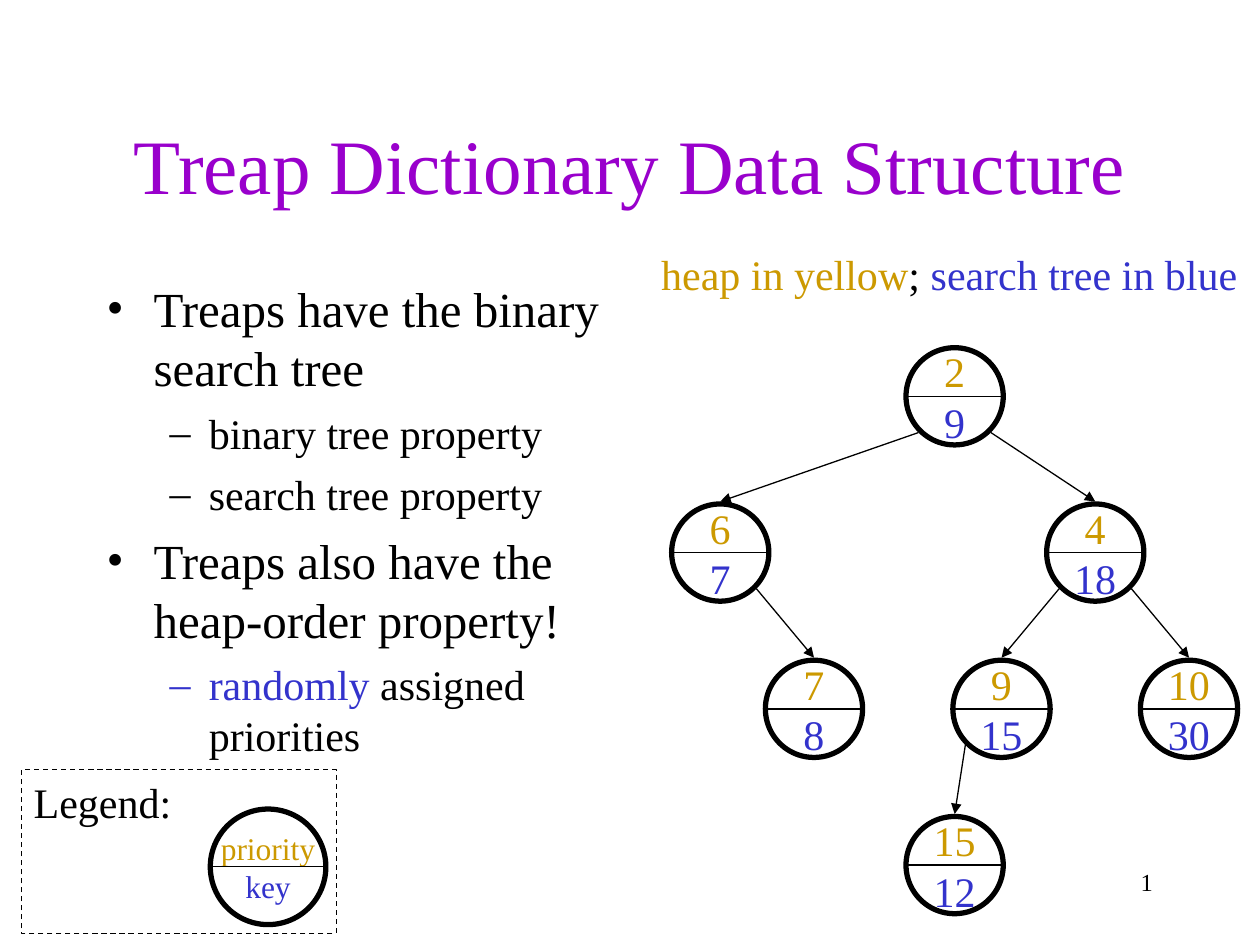
import pptx
import pptx.util
import pptx.dml.color
import pptx.enum.dml
import pptx.enum.shapes
import pptx.enum.text
import lxml.etree
from pptx.oxml.ns import qn

Cm, Pt = pptx.util.Cm, pptx.util.Pt
RGB = pptx.dml.color.RGBColor
ALIGN = pptx.enum.text.PP_ALIGN
ANCHOR = pptx.enum.text.MSO_ANCHOR
SHAPE = pptx.enum.shapes.MSO_SHAPE

BLACK = RGB(0x00, 0x00, 0x00)
PURPLE = RGB(0x99, 0x00, 0xCC)
YELLOW = RGB(0xCC, 0x99, 0x00)
BLUE = RGB(0x33, 0x33, 0xCC)
FONT = "Times New Roman"

LEVELS = [
    {"size": 28, "char": "•", "margin": 0.95, "hang": 0.95, "before": 7},
    {"size": 24, "char": "–", "margin": 2.06, "hang": 0.79, "before": 6},
]
BULLETS = [
    (0, [("Treaps have the binary search tree", BLACK)]),
    (1, [("binary tree property", BLACK)]),
    (1, [("search tree property", BLACK)]),
    (0, [("Treaps also have the heap-order property!", BLACK)]),
    (1, [("randomly", BLUE), (" assigned priorities", BLACK)]),
]
NODES = {
    "root": (5, 0, "2", "9", None),
    "left": (0, 1, "6", "7", "root"),
    "right": (8, 1, "4", "18", "root"),
    "left_right": (2, 2, "7", "8", "left"),
    "right_left": (6, 2, "9", "15", "right"),
    "right_right": (10, 2, "10", "30", "right"),
    "leaf": (5, 3, "15", "12", "right_left"),
}
COLUMN, ROW, NODE = 0.945, 3.15, 1.96


def apply(obj, values):
    """Set each attribute of obj named in values."""
    for name, value in values.items():
        setattr(obj, name, value)


def add_runs(p, runs, size):
    """Add coloured runs to a paragraph."""
    for text, color in runs:
        r = p.add_run()
        r.text = text
        apply(r.font, {"name": FONT, "size": Pt(size)})
        r.font.color.rgb = color


def write(tf, paragraphs, size, align=ALIGN.LEFT, anchor=ANCHOR.TOP, wrap=True):
    """Write paragraphs, each a list of runs, into a text frame."""
    apply(tf, {"word_wrap": wrap, "vertical_anchor": anchor})
    for i, runs in enumerate(paragraphs):
        p = tf.add_paragraph() if i else tf.paragraphs[0]
        p.alignment = align
        add_runs(p, runs, size)


def add_text(s, box, runs, **style):
    """Add a one-paragraph text box."""
    write(s.shapes.add_textbox(*map(Cm, box)).text_frame, [runs], **style)


def add_outline(s, kind, box, width):
    """Add an unfilled shape with a black outline."""
    sp = s.shapes.add_shape(kind, *map(Cm, box))
    sp.shadow.inherit = False
    sp.fill.background()
    sp.line.color.rgb = BLACK
    sp.line.width = Pt(width)
    return sp


def add_line(s, x1, y1, x2, y2, arrow=False):
    """Add a thin black line, with an arrowhead at its end on request."""
    kind = pptx.enum.shapes.MSO_CONNECTOR.STRAIGHT
    c = s.shapes.add_connector(kind, *map(Cm, (x1, y1, x2, y2)))
    c.line.color.rgb = BLACK
    c.line.width = Pt(0.75)
    if arrow:
        lxml.etree.SubElement(c.line._get_or_add_ln(), qn("a:tailEnd"), type="triangle")
    lxml.etree.SubElement(c._element.spPr, qn("a:effectLst"))


def add_title(s, box, text):
    """Place and format the title placeholder."""
    sp = s.shapes.title
    apply(sp, dict(zip(("left", "top", "width", "height"), map(Cm, box))))
    sp.text_frame.auto_size = pptx.enum.text.MSO_AUTO_SIZE.NONE
    write(sp.text_frame, [[(text, PURPLE)]], 44, ALIGN.CENTER, ANCHOR.MIDDLE)


def add_bullets(s, box):
    """Add the two-level bullet list."""
    tf = s.shapes.add_textbox(*map(Cm, box)).text_frame
    tf.word_wrap = True
    for i, (depth, runs) in enumerate(BULLETS):
        level = LEVELS[depth]
        p = tf.add_paragraph() if i else tf.paragraphs[0]
        p.level = depth
        pPr = p._p.get_or_add_pPr()
        pPr.set("marL", str(Cm(level["margin"])))
        pPr.set("indent", str(-Cm(level["hang"])))
        clr = lxml.etree.SubElement(pPr, qn("a:buClr"))
        lxml.etree.SubElement(clr, qn("a:srgbClr"), val=str(runs[0][1]))
        lxml.etree.SubElement(pPr, qn("a:buFont"), typeface=FONT)
        lxml.etree.SubElement(pPr, qn("a:buChar"), char=level["char"])
        if i:
            p.space_before = Pt(level["before"])
        add_runs(p, runs, level["size"])


def add_node(s, x, y, d, priority, key, size=24):
    """Add a circle split into priority and key, given its corner and diameter."""
    sp = add_outline(s, SHAPE.OVAL, (x, y, d, d), 3)
    lines = [[(priority, YELLOW)], [(key, BLUE)]]
    write(sp.text_frame, lines, size, ALIGN.CENTER, ANCHOR.MIDDLE, False)
    add_line(s, x - 0.05, y + d / 2, x + d + 0.05, y + d / 2)


def add_tree(s, left, top):
    """Add the treap with its nodes on a grid and an arrow to each child."""
    corners = {n: (left + v[0] * COLUMN, top + v[1] * ROW) for n, v in NODES.items()}
    half, reach = NODE / 2, 0.73
    for name, (_, _, priority, key, parent) in NODES.items():
        x, y = corners[name]
        add_node(s, x, y, NODE, priority, key)
        if parent:
            px, py = corners[parent]
            side = reach if x > px else -reach
            add_line(s, px + half + side, py + half + reach, x + half, y - 0.05, True)


def add_legend(s, left, top):
    """Add the dashed legend box with its sample node."""
    sp = add_outline(s, SHAPE.RECTANGLE, (left, top, 6.35, 3.3), 0.75)
    sp.line.dash_style = pptx.enum.dml.MSO_LINE.DASH
    write(sp.text_frame, [[("Legend:", BLACK)]], 24)
    add_node(s, left + 3.81, top + 0.79, 2.33, "priority", "key", 18)


def main():
    """Build the treap slide."""
    prs = pptx.Presentation()
    apply(prs, {"slide_width": Cm(25.4), "slide_height": Cm(19.05)})
    s = prs.slides.add_slide(prs.slide_layouts.get_by_name("Title Only"))
    add_title(s, (1.9, 1.7, 21.6, 3.18), "Treap Dictionary Data Structure")
    add_bullets(s, (1.9, 5.5, 10.8, 11.43))
    caption = [("heap in yellow", YELLOW), ("; ", BLACK), ("search tree in blue", BLUE)]
    add_text(s, (13.08, 4.88, 12.12, 1.27), caption, size=24, wrap=False)
    add_tree(s, 13.54, 7.01)
    add_legend(s, 0.43, 15.52)
    add_text(s, (18.21, 17.35, 5.28, 1.27), [("1", BLACK)], size=14, align=ALIGN.RIGHT)
    prs.save("out.pptx")


if __name__ == "__main__":
    main()
